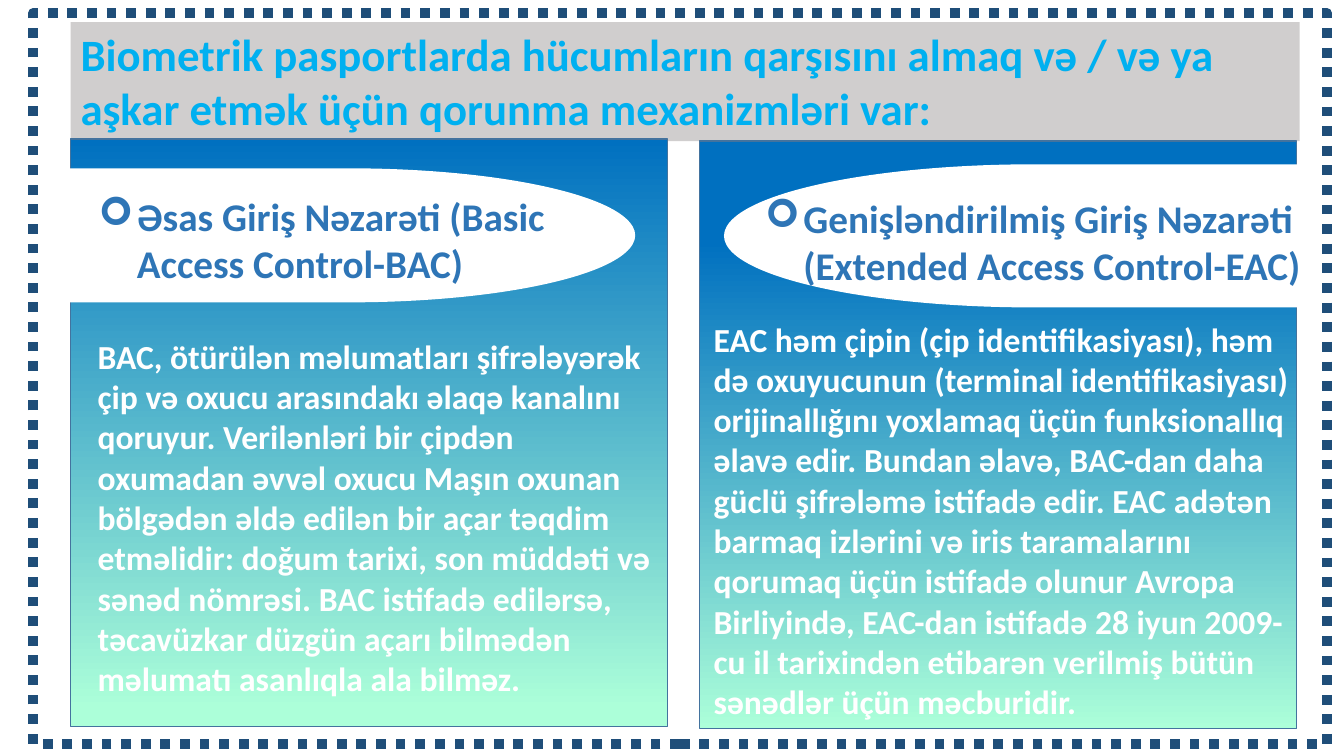
from dataclasses import dataclass

from lxml.etree import SubElement
from pptx import Presentation
from pptx.dml.color import RGBColor
from pptx.enum.dml import MSO_LINE_DASH_STYLE as Dash
from pptx.enum.shapes import MSO_SHAPE as Preset
from pptx.oxml.ns import qn
from pptx.shapes.autoshape import Shape
from pptx.slide import Slide
from pptx.util import Inches, Pt

WHITE = RGBColor(0xFF, 0xFF, 0xFF)
TITLE_GREY = RGBColor(0xD0, 0xCE, 0xCE)
TITLE_BLUE = RGBColor(0x00, 0xB0, 0xF0)
HEADING_BLUE = RGBColor(0x2E, 0x75, 0xB6)
PANEL_BLUE = RGBColor(0x00, 0x70, 0xC0)
PANEL_MINT = RGBColor(0xAC, 0xFF, 0xD9)
PANEL_EDGE = RGBColor(0x43, 0x73, 0x9E)
FRAME_NAVY = RGBColor(0x1F, 0x4E, 0x79)

BULLET_INDENT = Inches(0.38)
TITLE_FORMAT = {"size": Pt(32), "bold": True, "name": "Calibri"}
HEADING_FORMAT = TITLE_FORMAT | {"size": Pt(28)}
BODY_FORMAT = TITLE_FORMAT | {"size": Pt(24)}


@dataclass(frozen=True)
class Box:
    left: float
    top: float
    width: float
    height: float

    def lengths(self) -> list[Inches]:
        return [Inches(n) for n in (self.left, self.top, self.width, self.height)]


@dataclass(frozen=True)
class Mechanism:
    heading: str
    body: str
    panel: Box
    banner: Box
    heading_box: Box
    body_box: Box
    gradient_range: tuple[float, float]
    banner_rotation: int = 0


MECHANISMS = [
    Mechanism(
        heading="Əsas Giriş Nəzarəti (Basic Access Control-BAC)",
        body="BAC, ötürülən məlumatları şifrələyərək çip və oxucu arasındakı əlaqə "
        "kanalını qoruyur. Verilənləri bir çipdən oxumadan əvvəl oxucu Maşın oxunan "
        "bölgədən əldə edilən bir açar təqdim etməlidir: doğum tarixi, son müddəti və "
        "sənəd nömrəsi. BAC istifadə edilərsə, təcavüzkar düzgün açarı bilmədən "
        "məlumatı asanlıqla ala bilməz.",
        panel=Box(0.7, 1.38, 5.92, 5.83),
        banner=Box(0.62, 1.67, 5.68, 1.33),
        heading_box=Box(0.88, 1.86, 4.72, 1.04),
        body_box=Box(0.87, 3.28, 5.75, 3.74),
        gradient_range=(0, 0.97),
    ),
    Mechanism(
        heading="Genişləndirilmiş Giriş Nəzarəti (Extended Access Control-EAC)",
        body="EAC həm çipin (çip identifikasiyası), həm də oxuyucunun (terminal "
        "identifikasiyası) orijinallığını yoxlamaq üçün funksionallıq əlavə edir. "
        "Bundan əlavə, BAC-dan daha güclü şifrələmə istifadə edir. EAC adətən barmaq "
        "izlərini və iris taramalarını qorumaq üçün istifadə olunur Avropa Birliyində, "
        "EAC-dan istifadə 28 iyun 2009-cu il tarixindən etibarən verilmiş bütün "
        "sənədlər üçün məcburidir.",
        panel=Box(6.94, 1.4, 5.92, 5.83),
        banner=Box(7.18, 1.63, 6.15, 1.42),
        heading_box=Box(7.49, 1.88, 5.97, 1.04),
        body_box=Box(6.98, 3.11, 6.03, 4.14),
        gradient_range=(0.17, 1),
        banner_rotation=180,
    ),
]


def add_plain_shape(slide: Slide, preset: Preset, box: Box,
                    color: RGBColor | None = None) -> Shape:
    """Add a shape without line or shadow; without a color it has no fill."""
    shape = slide.shapes.add_shape(preset, *box.lengths())
    shape.shadow.inherit = False
    shape.line.fill.background()
    if color is None:
        shape.fill.background()
    else:
        shape.fill.solid()
        shape.fill.fore_color.rgb = color
    return shape


def add_text(slide: Slide, box: Box, text: str, formats: dict[str, object],
             color: RGBColor, bullet: str = "") -> None:
    frame = slide.shapes.add_textbox(*box.lengths()).text_frame
    frame.word_wrap = True
    paragraph = frame.paragraphs[0]
    paragraph.text = text
    if bullet:
        properties = paragraph._p.get_or_add_pPr()
        properties.set("marL", str(BULLET_INDENT))
        properties.set("indent", str(-BULLET_INDENT))
        SubElement(properties, qn("a:buFont"), typeface="Wingdings")
        SubElement(properties, qn("a:buChar"), char=bullet)
    font = paragraph.runs[0].font
    for attribute, value in formats.items():
        setattr(font, attribute, value)
    font.color.rgb = color


def add_panel(slide: Slide, box: Box, gradient_range: tuple[float, float]) -> None:
    panel = add_plain_shape(slide, Preset.RECTANGLE, box)
    panel.fill.gradient()
    panel.fill.gradient_angle = 270
    colors = (PANEL_BLUE, PANEL_MINT)
    for stop, position, color in zip(panel.fill.gradient_stops, gradient_range, colors):
        stop.position = position
        stop.color.rgb = color
    panel.line.color.rgb = PANEL_EDGE
    panel.line.width = Pt(1)


def add_mechanism(slide: Slide, mechanism: Mechanism) -> None:
    add_panel(slide, mechanism.panel, mechanism.gradient_range)
    banner = add_plain_shape(slide, Preset.FLOWCHART_DELAY, mechanism.banner, WHITE)
    banner.rotation = mechanism.banner_rotation
    add_text(slide, mechanism.heading_box, mechanism.heading, HEADING_FORMAT,
             HEADING_BLUE, bullet="➢")
    add_text(slide, mechanism.body_box, mechanism.body, BODY_FORMAT, WHITE)


def add_title(slide: Slide) -> None:
    box = Box(0.7, 0.22, 12.19, 1.18)
    add_plain_shape(slide, Preset.RECTANGLE, box, TITLE_GREY)
    add_text(slide, box, "Biometrik pasportlarda hücumların qarşısını almaq və / və ya "
             "aşkar etmək üçün qorunma mexanizmləri var:", TITLE_FORMAT, TITLE_BLUE)


def add_dotted_frame(slide: Slide) -> None:
    frame = add_plain_shape(slide, Preset.RECTANGLE, Box(0.33, 0.13, 12.83, 7.25))
    frame.line.color.rgb = FRAME_NAVY
    frame.line.width = Pt(7)
    frame.line.dash_style = Dash.SQUARE_DOT
    frame.line.dash_style = Dash.ROUND_DOT


def main() -> None:
    presentation = Presentation()
    presentation.slide_width = Inches(13.33)
    presentation.slide_height = Inches(7.5)
    slide = presentation.slides.add_slide(presentation.slide_layouts[6])
    add_title(slide)
    for mechanism in MECHANISMS:
        add_mechanism(slide, mechanism)
    add_dotted_frame(slide)
    presentation.save("out.pptx")


if __name__ == "__main__":
    main()
